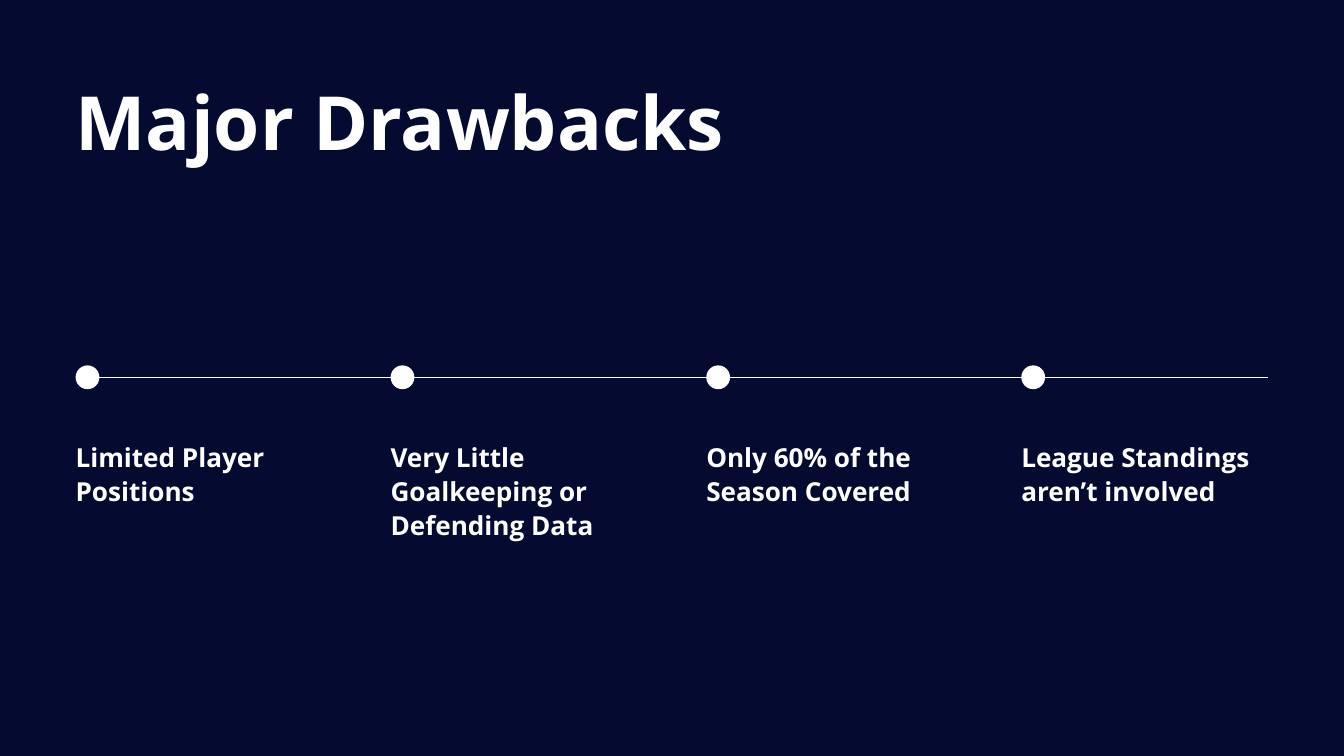
import pptx
import pptx.util
import pptx.dml.color
import pptx.enum.shapes
import pptx.enum.text
import lxml.etree

PX = 9525
FONT = "Open Sans"
WHITE = "FFFFFF"
NAVY = "050A30"
ITEMS = [
    "Limited Player Positions",
    "Very Little Goalkeeping or Defending Data",
    "Only 60% of the Season Covered",
    "League Standings aren’t involved",
]


def px(*nums):
    """Turn pixel lengths into EMU."""
    return [pptx.util.Emu(num * PX) for num in nums]


def tint(hue):
    """Return the colour for a hex string."""
    return pptx.dml.color.RGBColor.from_string(hue)


def write(shape, text, size, lead):
    """Set bold white text at the top left of a shape without insets."""
    frame = shape.text_frame
    frame.word_wrap = True
    frame.auto_size = pptx.enum.text.MSO_AUTO_SIZE.NONE
    frame.vertical_anchor = pptx.enum.text.MSO_ANCHOR.TOP
    frame.margin_left = frame.margin_right = 0
    frame.margin_top = frame.margin_bottom = 0
    frame.text = text
    para = frame.paragraphs[0]
    para.alignment = pptx.enum.text.PP_ALIGN.LEFT
    para.line_spacing = pptx.util.Pt(lead)
    font = para.runs[0].font
    font.name, font.size, font.bold = FONT, pptx.util.Pt(size), True
    font.color.rgb = tint(WHITE)


def head(slide, left, top, width, height):
    """Place the slide title in its box."""
    title = slide.shapes.title
    title.left, title.top, title.width, title.height = px(left, top, width, height)
    write(title, "Major Drawbacks", 80, 96)


def track(slide, left, top, width, height):
    """Draw the line with one dot and one label per drawback."""
    dot, col, drop = 34, 353, 105
    mid = top + dot // 2
    line = slide.shapes.add_connector(
        pptx.enum.shapes.MSO_CONNECTOR.STRAIGHT,
        *px(left + dot // 2, mid, left + width, mid))
    line.line.color.rgb = tint(WHITE)
    line.line.width = pptx.util.Pt(1.5)
    lxml.etree.SubElement(line._element.spPr, pptx.oxml.ns.qn("a:effectLst"))
    for num, text in enumerate(ITEMS):
        x = left + round(num * (width - col) / (len(ITEMS) - 1))
        mark = slide.shapes.add_shape(
            pptx.enum.shapes.MSO_SHAPE.OVAL, *px(x, top, dot, dot))
        mark.shadow.inherit = False
        mark.fill.solid()
        mark.fill.fore_color.rgb = tint(WHITE)
        mark.line.fill.background()
        label = slide.shapes.add_textbox(*px(x, top + drop, col, height - drop))
        write(label, text, 28, 36.4)


def main():
    """Build and save the slide."""
    deck = pptx.Presentation()
    deck.slide_width, deck.slide_height = px(1920, 1080)
    slide = deck.slides.add_slide(deck.slide_layouts[5])
    slide.background.fill.solid()
    slide.background.fill.fore_color.rgb = tint(NAVY)
    track(slide, 108, 522, 1704, 248)
    head(slide, 108, 108, 1704, 128)
    deck.save("out.pptx")


if __name__ == "__main__":
    main()
